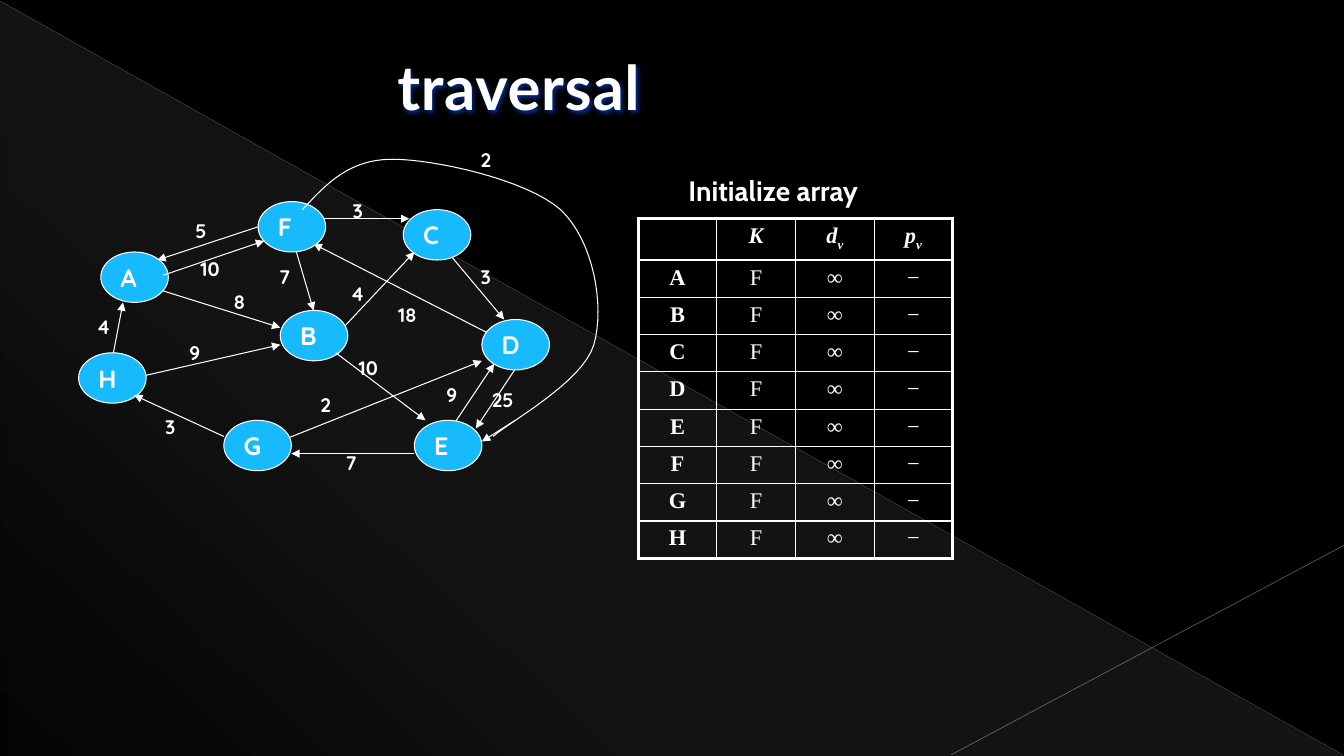
"""Build the graph traversal slide with its weighted graph and initial array."""
from dataclasses import dataclass

from lxml import etree
from pptx import Presentation
from pptx.dml.color import RGBColor
from pptx.enum import shapes, text
from pptx.oxml import ns
from pptx.util import Inches, Pt

TITLE = "traversal"
CAPTION = "Initialize array"
NODES = {"A": (1, 2.5), "H": (0.78, 3.5), "B": (2.78, 3.08), "F": (2.56, 2),
         "E": (4.11, 4.17), "D": (4.78, 3.17), "C": (4, 2.08), "G": (2.22, 4.17)}
NODE_SIZE = (0.67, 0.5)
EDGES_BEHIND_NODES = [
    ((5.27, 3.42), (4.72, 4.25)), ((2.89, 2.33), (3.11, 3.08)),
    ((3.33, 3.33), (4.11, 2.5)), ((4.89, 3.33), (3.11, 2.42)),
    ((4.46, 4.27), (4.9, 3.61)), ((1.33, 3.75), (2.78, 3.42)),
    ((2.67, 4.42), (4.78, 3.58)), ((1.11, 3.58), (1.22, 3)),
    ((1.44, 2.83), (2.78, 3.25)), ((2.56, 2.25), (1.56, 2.58)),
    ((3.18, 2.17), (4.06, 2.17)), ((4.44, 2.5), (5, 3.17)),
]
EDGES_OVER_NODES = [
    ((3.33, 3.5), (4.22, 4.17)), ((4.11, 4.5), (2.89, 4.5)),
    ((2.22, 4.33), (1.33, 3.92)), ((1.62, 2.73), (2.62, 2.39)),
    ((5.11, 4.17), (4.78, 4.38)),
]
WEIGHTS = [
    ("25", 4.78, 3.8), ("9", 4.33, 3.75), ("7", 3.33, 4.42), ("2", 3.08, 3.85),
    ("10", 3.46, 3.48), ("18", 3.85, 2.96), ("3", 4.67, 2.58), ("4", 3.38, 2.75),
    ("3", 3.4, 1.92), ("7", 2.67, 2.58), ("5", 1.84, 2.12), ("8", 2.22, 2.83),
    ("9", 1.78, 3.33), ("4", 0.86, 3.08), ("3", 1.54, 4.07), ("10", 1.89, 2.5),
    ("2", 4.67, 1.42),
]
LOOP_START = (3, 2.08)
LOOP_CURVES = [
    ((3.23, 1.83), (3.46, 1.58), (3.89, 1.58)),
    ((4.31, 1.58), (5.22, 1.78), (5.56, 2.08)),
    ((5.89, 2.39), (6, 3.04), (5.89, 3.42)),
    ((5.78, 3.79), (5.06, 4.18), (4.89, 4.33)),
]
HEADERS = [("", ""), ("K", ""), ("d", "v"), ("p", "v")]
INITIAL_VALUES = ["F", "∞", "−"]


@dataclass(frozen=True)
class Theme:
    """Colours, fonts and sizes."""
    black: str = "000000"
    white: str = "FFFFFF"
    title: str = "FEFEFE"
    outline: str = "002F8F"
    node: str = "17BBFD"
    wedge: str = "D2D2D2"
    title_font: str = "Lato"
    caption_font: str = "Cabin"
    graph_font: str = "Quicksand"
    table_font: str = "Times New Roman"
    title_size: float = 44
    caption_size: float = 20
    node_size: float = 18
    table_size: float = 16
    weight_size: float = 14
    thin: float = 0.75
    inner: float = 1
    outer: float = 2.25


THEME = Theme()


def rgb(value):
    return RGBColor.from_string(value)


def add_xml(parent, tag, **attributes):
    return etree.SubElement(parent, ns.qn(tag), {k: str(v) for k, v in attributes.items()})


def add_solid(parent, color, alpha=100):
    value = add_xml(add_xml(parent, "a:solidFill"), "a:srgbClr", val=color)
    if alpha < 100:
        add_xml(value, "a:alpha", val=alpha * 1000)


def style_text(paragraph, font, size, color=THEME.white, bold=True, italic=False):
    paragraph.font.name = font
    paragraph.font.size = Pt(size)
    paragraph.font.color.rgb = rgb(color)
    paragraph.font.bold = bold
    paragraph.font.italic = italic


def add_line(slide, start, end, color=THEME.white, width=THEME.thin, alpha=100, arrow=True):
    line = slide.shapes.add_connector(
        shapes.MSO_CONNECTOR.STRAIGHT, *(Inches(v) for v in (*start, *end)))
    line.line.width = Pt(width)
    properties = line.line._get_or_add_ln()
    add_solid(properties, color, alpha)
    if arrow:
        add_xml(properties, "a:tailEnd", type="triangle")
    add_xml(line._element.spPr, "a:effectLst")


def add_label(slide, words, left, top, width, height, font, size):
    box = slide.shapes.add_textbox(*(Inches(v) for v in (left, top, width, height)))
    box.text_frame.word_wrap = True
    paragraph = box.text_frame.paragraphs[0]
    paragraph.text = words
    style_text(paragraph, font, size)


def add_backdrop(slide):
    slide.background.fill.solid()
    slide.background.fill.fore_color.rgb = rgb(THEME.black)
    wedge = slide.shapes.add_shape(shapes.MSO_SHAPE.RIGHT_TRIANGLE, Inches(0.01),
                                   Inches(0.02), Inches(13.31), Inches(7.48))
    wedge.shadow.inherit = False
    wedge.line.fill.background()
    gradient = etree.Element(ns.qn("a:gradFill"))
    stops = add_xml(gradient, "a:gsLst")
    for position, alpha in [(0, 10), (70, 8), (100, 1)]:
        stop = add_xml(stops, "a:gs", pos=position * 1000)
        add_xml(add_xml(stop, "a:srgbClr", val=THEME.wedge), "a:alpha", val=alpha * 1000)
    add_xml(gradient, "a:lin", ang=133 * 60000, scaled=0)
    wedge._element.spPr.find(ns.qn("a:prstGeom")).addnext(gradient)
    add_line(slide, (0, 0.01), (13.32, 7.49), "BFBFBF", 0.39, 35, arrow=False)
    add_line(slide, (13.33, 5.41), (9.43, 7.49), "C6C6C6", 0.47, 45, arrow=False)


def add_title(slide):
    title = slide.shapes.title
    title.left, title.top, title.width, title.height = (
        Inches(v) for v in (3.84, 0.44, 3.79, 0.84))
    frame = title.text_frame
    frame.text = TITLE
    frame.word_wrap = False
    frame.auto_size = text.MSO_AUTO_SIZE.NONE
    frame.vertical_anchor = text.MSO_ANCHOR.TOP
    paragraph = frame.paragraphs[0]
    paragraph.alignment = text.PP_ALIGN.LEFT
    style_text(paragraph, THEME.title_font, THEME.title_size, THEME.title)
    properties = paragraph.runs[0]._r.get_or_add_rPr()
    properties.set("spc", "50")
    add_solid(add_xml(properties, "a:ln", w=Pt(1)), THEME.outline)
    shadow = add_xml(add_xml(title._element.spPr, "a:effectLst"), "a:outerShdw",
                     blurRad=Pt(3), dist=Pt(1.5), dir=45 * 60000)
    add_xml(shadow, "a:srgbClr", val=THEME.outline)


def add_node(slide, name, position):
    node = slide.shapes.add_shape(
        shapes.MSO_SHAPE.OVAL, *(Inches(v) for v in (*position, *NODE_SIZE)))
    node.shadow.inherit = False
    node.fill.solid()
    node.fill.fore_color.rgb = rgb(THEME.node)
    node.line.color.rgb = rgb(THEME.white)
    node.line.width = Pt(THEME.thin)
    paragraph = node.text_frame.paragraphs[0]
    paragraph.text = name
    paragraph.alignment = text.PP_ALIGN.LEFT
    style_text(paragraph, THEME.graph_font, THEME.node_size)


def add_loop(slide, steps=16):
    points, start = [], LOOP_START
    for first, second, end in LOOP_CURVES:
        for t in (step / steps for step in range(1, steps + 1)):
            points.append(tuple(
                Inches((1 - t) ** 3 * a + 3 * t * (1 - t) ** 2 * b
                       + 3 * t * t * (1 - t) * c + t ** 3 * d)
                for a, b, c, d in zip(start, first, second, end)))
        start = end
    builder = slide.shapes.build_freeform(*(Inches(v) for v in LOOP_START))
    builder.add_line_segments(points, close=False)
    loop = builder.convert_to_shape()
    loop.shadow.inherit = False
    loop.fill.background()
    loop.line.color.rgb = rgb(THEME.white)
    loop.line.width = Pt(THEME.thin)


def add_array(slide):
    names = sorted(NODES)
    rows = [HEADERS] + [[(v, "") for v in (name, *INITIAL_VALUES)] for name in names]
    table = slide.shapes.add_table(len(rows), len(HEADERS), Inches(6.33), Inches(2.17),
                                   Inches(3.11), Inches(3.37)).table
    table.first_row = table.horz_banding = False
    for column in table.columns:
        column.width = Inches(0.78)
    for r, values in enumerate(rows):
        table.rows[r].height = Inches(0.37 if r else 0.41)
        for c, (word, subscript) in enumerate(values):
            cell = table.cell(r, c)
            cell.margin_left = cell.margin_right = Inches(0.13)
            edges = {"L": c == 0, "R": c == len(values) - 1, "T": r == 0, "B": r == len(rows) - 1}
            for side, outer in edges.items():
                width = THEME.outer if outer else THEME.inner
                add_solid(add_xml(cell._tc.get_or_add_tcPr(), f"a:ln{side}", w=Pt(width)), THEME.white)
            cell.fill.background()
            paragraph = cell.text_frame.paragraphs[0]
            paragraph.alignment = text.PP_ALIGN.CENTER
            style_text(paragraph, THEME.table_font, THEME.table_size,
                       bold=r == 0 or c == 0, italic=r == 0)
            if word:
                paragraph.add_run().text = word
            if subscript:
                run = paragraph.add_run()
                run.text = subscript
                run._r.get_or_add_rPr().set("baseline", "-25000")


def main():
    presentation = Presentation()
    presentation.slide_width, presentation.slide_height = Inches(13.33), Inches(7.5)
    slide = presentation.slides.add_slide(presentation.slide_layouts[5])
    add_backdrop(slide)
    add_title(slide)
    for start, end in EDGES_BEHIND_NODES:
        add_line(slide, start, end)
    for name, position in NODES.items():
        add_node(slide, name, position)
    for start, end in EDGES_OVER_NODES:
        add_line(slide, start, end)
    add_loop(slide)
    for weight, left, top in WEIGHTS:
        add_label(slide, weight, left, top, 0.44 if len(weight) == 1 else 0.7, 0.33,
                  THEME.graph_font, THEME.weight_size)
    add_label(slide, CAPTION, 6.73, 1.67, 2.44, 0.43, THEME.caption_font, THEME.caption_size)
    add_array(slide)
    presentation.save("out.pptx")


if __name__ == "__main__":
    main()
